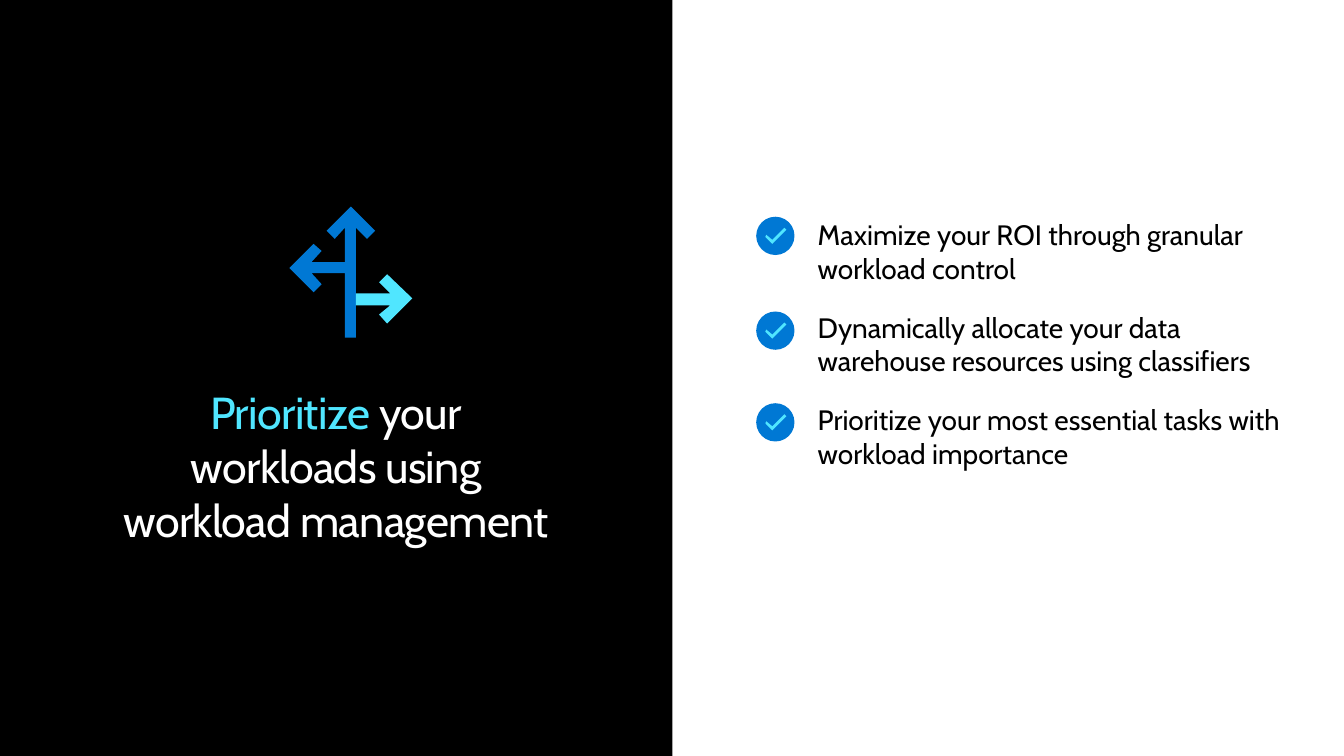
from pptx import Presentation
from pptx.dml.color import RGBColor
from pptx.enum.shapes import MSO_SHAPE as Shape
from pptx.enum.text import MSO_ANCHOR as Anchor, PP_ALIGN as Align
from pptx.util import Inches, Pt

BLACK, WHITE, BLUE, CYAN = "000000", "FFFFFF", "0078D4", "50E6FF"
FONT = "Cabin"

# Each paragraph is a list of (text, colour) runs; "\n" is a line break.
HEADING = [[("Prioritize ", CYAN), ("your\nworkloads using\nworkload management", WHITE)]]
BENEFITS = [
    "Maximize your ROI through granular workload control",
    "Dynamically allocate your data warehouse resources using classifiers",
    "Prioritize your most essential tasks with workload importance",
]

PANEL_WIDTH = 6.67
BADGE_LEFT, BADGE_SIZE = 7.5, 0.38
BADGE_TOPS = [2.15, 3.09, 4.0]
TICK = [(0.16, 0.23), (0.1, 0.18), (0.09, 0.2), (0.16, 0.27), (0.3, 0.13), (0.28, 0.11)]

# Road-sign icon: trunk with an up and a left arrow, then the right arrow.
TRUNK = [
    (3.53, 3.35), (3.53, 2.26), (3.64, 2.37), (3.72, 2.29), (3.48, 2.05), (3.24, 2.29),
    (3.32, 2.37), (3.42, 2.26), (3.42, 2.6), (3.09, 2.6), (3.19, 2.49), (3.11, 2.42),
    (2.87, 2.66), (3.11, 2.9), (3.19, 2.82), (3.09, 2.71), (3.42, 2.71), (3.42, 3.35),
]
RIGHT_ARROW = [
    (3.53, 3.03), (3.87, 3.03), (3.76, 3.12), (3.84, 3.21), (4.09, 2.96),
    (3.84, 2.72), (3.76, 2.8), (3.87, 2.91), (3.53, 2.91),
]


def paint(shape, color):
    """Give a shape a flat fill with no outline or shadow."""
    shape.fill.solid()
    shape.fill.fore_color.rgb = RGBColor.from_string(color)
    shape.line.fill.background()
    shape.shadow.inherit = False


def add_preset(slide, kind, left, top, width, height, color):
    paint(slide.shapes.add_shape(kind, Inches(left), Inches(top), Inches(width), Inches(height)), color)


def add_outline(slide, points, color, left=0, top=0):
    corners = [(Inches(left + x), Inches(top + y)) for x, y in points]
    builder = slide.shapes.build_freeform(*corners[0])
    builder.add_line_segments(corners[1:], close=True)
    paint(builder.convert_to_shape(), color)


def add_text(slide, paragraphs, left, top, width, height, *, size, align=Align.LEFT,
             indent=0, gap=0, tracking=0):
    frame = slide.shapes.add_textbox(Inches(left), Inches(top), Inches(width), Inches(height)).text_frame
    frame.word_wrap = True
    frame.vertical_anchor = Anchor.MIDDLE
    frame.margin_left = Inches(indent)
    frame.margin_top = frame.margin_right = frame.margin_bottom = 0
    for number, runs in enumerate(paragraphs):
        paragraph = frame.add_paragraph() if number else frame.paragraphs[0]
        paragraph.alignment = align
        if number:
            paragraph.space_before = Pt(gap)
        for text, color in runs:
            for line_number, line in enumerate(text.split("\n")):
                if line_number:
                    paragraph.add_line_break()
                run = paragraph.add_run()
                run.text = line
                run.font.name = FONT
                run.font.size = Pt(size)
                run.font.color.rgb = RGBColor.from_string(color)
                if tracking:
                    run._r.get_or_add_rPr().set("spc", str(int(tracking * 100)))


def main():
    deck = Presentation()
    deck.slide_width, deck.slide_height = Inches(13.33), Inches(7.5)
    slide = deck.slides.add_slide(deck.slide_layouts[6])

    add_preset(slide, Shape.RECTANGLE, 0, 0, PANEL_WIDTH, 7.5, BLACK)
    add_text(slide, HEADING, 0, 3.81, PANEL_WIDTH, 1.62, size=32, align=Align.CENTER, tracking=-0.5)
    add_outline(slide, TRUNK, BLUE)
    add_outline(slide, RIGHT_ARROW, CYAN)

    add_text(slide, [[(benefit, BLACK)] for benefit in BENEFITS], 7.67, 2.15, 5.05, 2.52,
             size=20, indent=0.44, gap=18)
    for top in BADGE_TOPS:
        add_preset(slide, Shape.OVAL, BADGE_LEFT, top, BADGE_SIZE, BADGE_SIZE, BLUE)
        add_outline(slide, TICK, CYAN, BADGE_LEFT, top)

    deck.save("out.pptx")


if __name__ == "__main__":
    main()
